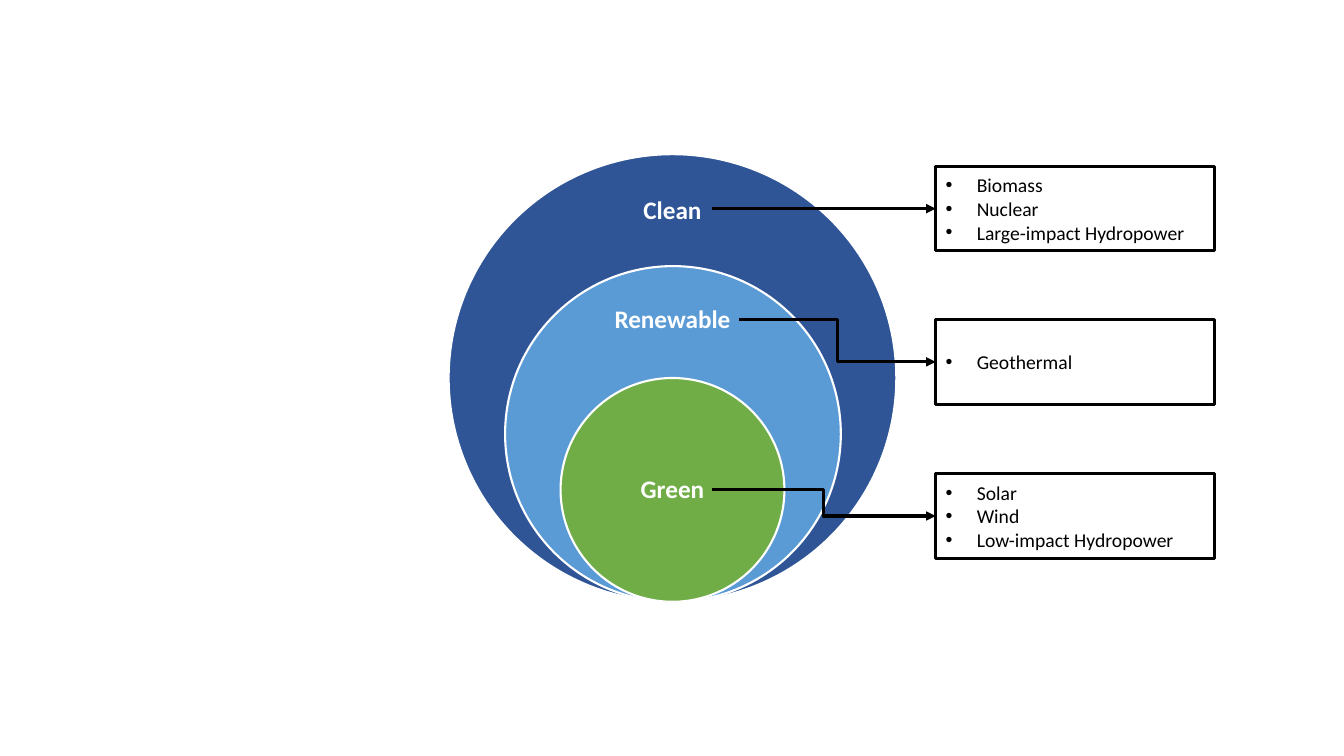
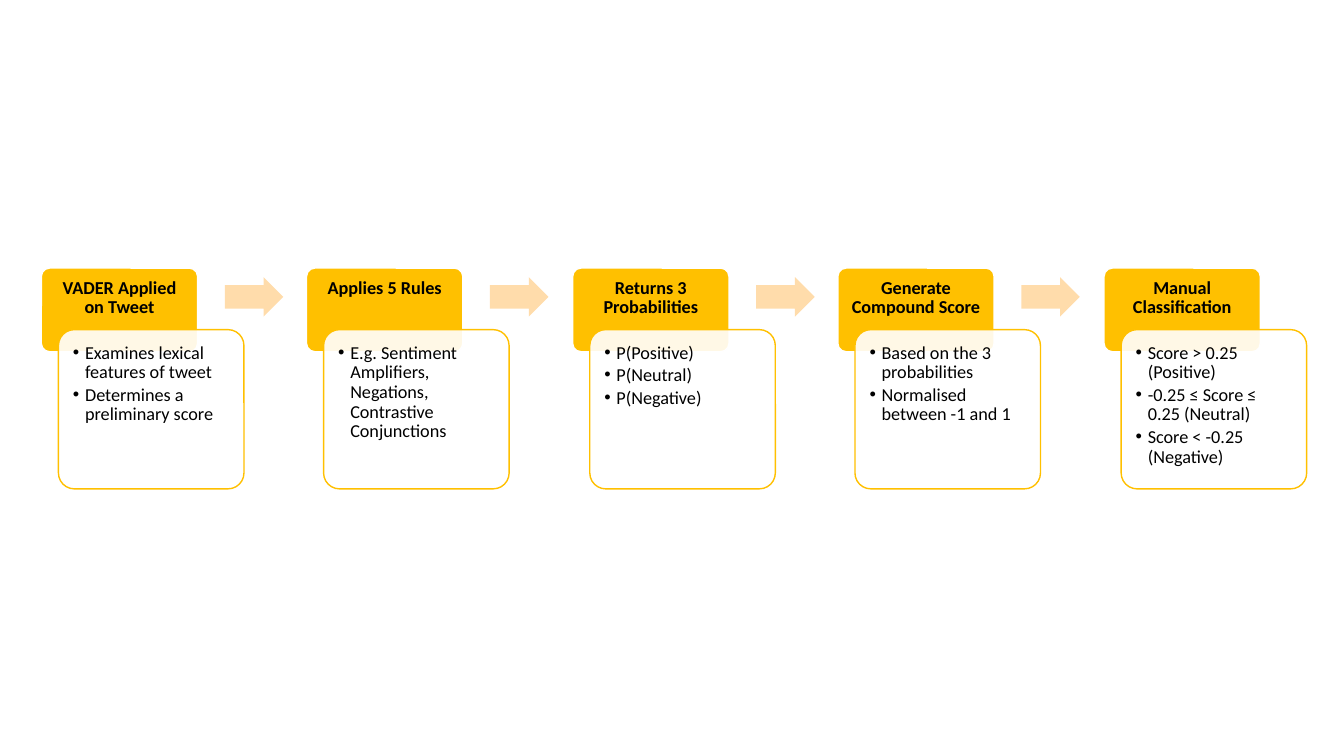
import pptx
import pptx.dml.color
import pptx.enum.shapes
import pptx.enum.text
import pptx.oxml.ns
import pptx.util
from lxml import etree

SHAPE = pptx.enum.shapes.MSO_SHAPE
CONNECTOR = pptx.enum.shapes.MSO_CONNECTOR
ANCHOR = pptx.enum.text.MSO_ANCHOR
ALIGN = pptx.enum.text.PP_ALIGN

FONT = "Calibri"
WHITE, BLACK, AMBER, PALE_AMBER = "FFFFFF", "000000", "FFC000", "FFDCAB"

LABEL = {"size": 18, "bold": True, "color": WHITE, "align": ALIGN.CENTER}
ITEM = {"size": 14, "bullet": 31}
STEP_TITLE = {"size": 13, "bold": True, "align": ALIGN.CENTER, "line": 0.9}
STEP_ITEM = {"size": 13, "bullet": 12, "line": 0.9, "after": 2}

CENTER_X, CIRCLE_BOTTOM, RING_STEP = 667, 597, 111
BOX_LEFT, BOX_W, BOX_H = 928, 277, 84

ENERGY = [
    {"label": "Clean", "color": "2F5597", "label_y": 208, "start": (706, 207), "box_y": 165,
     "items": ["Biomass", "Nuclear", "Large-impact Hydropower"]},
    {"label": "Renewable", "color": "5B9BD5", "label_y": 316, "start": (733, 317), "box_y": 317,
     "items": ["Geothermal"]},
    {"label": "Green", "color": "70AD47", "label_y": 485, "start": (706, 486), "box_y": 470,
     "items": ["Solar", "Wind", "Low-impact Hydropower"]},
]

STEPS_LEFT, STEPS_SPAN = 41, 1054
STEPS = [
    ("VADER Applied on Tweet",
     ["Examines lexical features of tweet", "Determines a preliminary score"]),
    ("Applies 5 Rules",
     ["E.g. Sentiment Amplifiers, Negations, Contrastive Conjunctions"]),
    ("Returns 3 Probabilities",
     ["P(Positive)", "P(Neutral)", "P(Negative)"]),
    ("Generate Compound Score",
     ["Based on the 3 probabilities", "Normalised between -1 and 1"]),
    ("Manual Classification",
     ["Score > 0.25 (Positive)", "-0.25 ≤ Score ≤ 0.25 (Neutral)",
      "Score < -0.25 (Negative)"]),
]


def px(n):
    return pptx.util.Inches(n / 100)


def rgb(color):
    return pptx.dml.color.RGBColor.from_string(color)


def apply(obj, fmt):
    for name, value in fmt.items():
        setattr(obj, name, value)


def child(parent, tag, **attrs):
    return etree.SubElement(parent, pptx.oxml.ns.qn(tag), attrs)


def add_bullet(p, indent):
    pPr = p._p.get_or_add_pPr()
    pPr.set("marL", str(px(indent)))
    pPr.set("indent", str(-px(indent)))
    child(pPr, "a:buFont", typeface="Arial")
    child(pPr, "a:buChar", char="•")


def write(sp, lines, style, anchor=ANCHOR.MIDDLE, insets=(10, 5, 10, 5)):
    tf = sp.text_frame
    sides = ("margin_left", "margin_top", "margin_right", "margin_bottom")
    apply(tf, {"word_wrap": True, "vertical_anchor": anchor})
    apply(tf, dict(zip(sides, map(px, insets))))
    for i, line in enumerate(lines):
        p = tf.add_paragraph() if i else tf.paragraphs[0]
        if "bullet" in style:
            add_bullet(p, style["bullet"])
        apply(p, {"alignment": style.get("align", ALIGN.LEFT),
                  "line_spacing": style.get("line", 1.0),
                  "space_after": pptx.util.Pt(style.get("after", 0))})
        r = p.add_run()
        r.text = line
        apply(r.font, {"name": FONT, "size": pptx.util.Pt(style["size"]),
                       "bold": style.get("bold", False)})
        r.font.color.rgb = rgb(style.get("color", BLACK))


def add_shape(s, kind, box, fill, line=None, width=1, adj=(), opacity=None):
    sp = s.shapes.add_shape(kind, *map(px, box))
    sp.shadow.inherit = False
    for i, value in enumerate(adj):
        sp.adjustments[i] = value
    sp.fill.solid()
    sp.fill.fore_color.rgb = rgb(fill)
    if opacity:
        color = sp._element.spPr.find(".//" + pptx.oxml.ns.qn("a:srgbClr"))
        child(color, "a:alpha", val=str(opacity * 1000))
    if line:
        sp.line.color.rgb = rgb(line)
        sp.line.width = pptx.util.Pt(width)
    else:
        sp.line.fill.background()
    return sp


def add_label(s, text, cx, cy):
    w, h = 156, 62
    sp = s.shapes.add_textbox(*map(px, (cx - w // 2, cy - h // 2, w, h)))
    write(sp, [text], LABEL, insets=(14, 14, 14, 14))


def add_arrow(s, start, end):
    kind = CONNECTOR.STRAIGHT if start[1] == end[1] else CONNECTOR.ELBOW
    cn = s.shapes.add_connector(kind, *map(px, start + end))
    cn.line.color.rgb = rgb(BLACK)
    cn.line.width = pptx.util.Pt(2.25)
    child(cn.line._get_or_add_ln(), "a:tailEnd", type="triangle")
    child(cn._element.spPr, "a:effectLst")


def add_step(s, left, title, items):
    header = add_shape(s, SHAPE.ROUNDED_RECTANGLE, (left, 266, 155, 83), AMBER,
                       WHITE, adj=[0.1])
    write(header, [title], STEP_TITLE, ANCHOR.TOP, (8, 8, 8, 5))
    card = add_shape(s, SHAPE.ROUNDED_RECTANGLE, (left + 17, 327, 184, 158), WHITE,
                     AMBER, adj=[0.1], opacity=90)
    write(card, items, STEP_ITEM, ANCHOR.TOP, (10, 9, 10, 10))


def build_energy(s):
    for i, e in enumerate(ENERGY):
        d = RING_STEP * (4 - i)
        add_shape(s, SHAPE.OVAL, (CENTER_X - d // 2, CIRCLE_BOTTOM - d, d, d),
                  e["color"], WHITE, 1.5)
        add_label(s, e["label"], CENTER_X, e["label_y"])
    for e in ENERGY:
        box = add_shape(s, SHAPE.RECTANGLE, (BOX_LEFT, e["box_y"], BOX_W, BOX_H),
                        WHITE, BLACK, 2.25)
        write(box, e["items"], ITEM)
        add_arrow(s, e["start"], (BOX_LEFT, e["box_y"] + BOX_H // 2))


def build_steps(s):
    last = len(STEPS) - 1
    for i, (title, items) in enumerate(STEPS):
        left = STEPS_LEFT + i * STEPS_SPAN // last
        add_step(s, left, title, items)
        if i < last:
            add_shape(s, SHAPE.RIGHT_ARROW, (left + 182, 275, 58, 39), PALE_AMBER,
                      adj=[0.6, 0.5])


def main():
    prs = pptx.Presentation()
    apply(prs, {"slide_width": px(1333), "slide_height": px(750)})
    for build in (build_energy, build_steps):
        build(prs.slides.add_slide(prs.slide_layouts[6]))
    prs.save("out.pptx")


if __name__ == "__main__":
    main()
